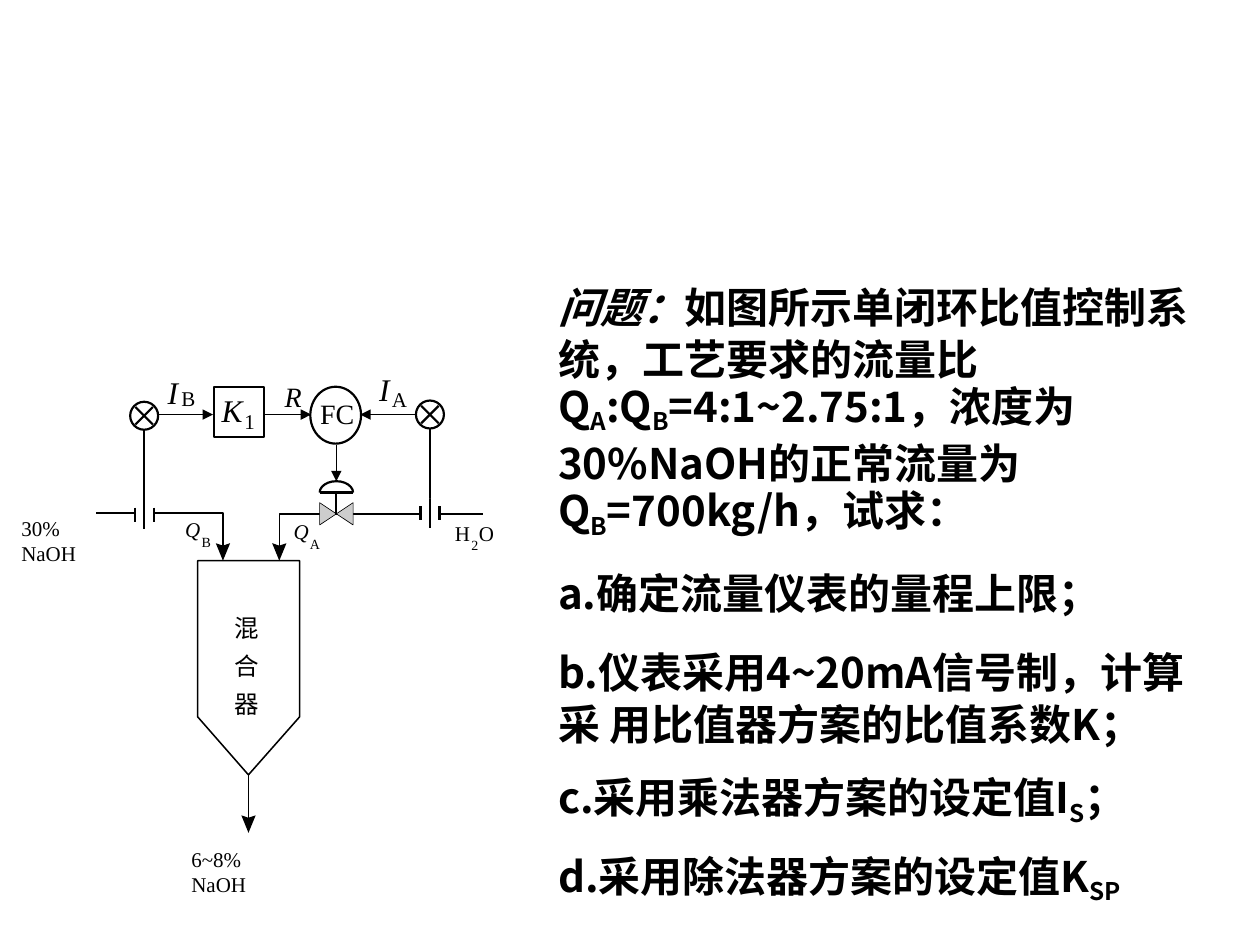
"""Build the slide on single closed-loop ratio control of a NaOH mixer."""
import math
from typing import NamedTuple, Optional

from lxml import etree
from pptx import Presentation
from pptx import util as u
from pptx.dml import color
from pptx.enum import shapes, text
from pptx.oxml import ns

COLOURS = {"ink": "000000", "paper": "FFFFFF", "valve": "CDCDCD"}
LATIN, CHINESE = "Times New Roman", "Noto Sans CJK SC"
LINE_RATIO = 1.24
THIN, PIPE, BOLD = 0.74, 0.88, 1.25
Point = tuple[float, float]


class Label(NamedTuple):
    words: str
    left: float
    top: float
    width: float
    size: float = 12
    italic: bool = False
    font: str = LATIN


class Line(NamedTuple):
    start: Point
    end: Point
    weight: float = BOLD
    arrow: bool = False


class Instrument(NamedTuple):
    x: float
    transmitter_y: float
    orifice_y: float


class Piece(NamedTuple):
    words: str
    italic: bool = False
    subscript: bool = False


presentation = Presentation()
presentation.slide_width, presentation.slide_height = u.Pt(720), u.Pt(540)
slide = presentation.slides.add_slide(presentation.slide_layouts[6])


def rgb(name: str) -> color.RGBColor:
    return color.RGBColor.from_string(COLOURS[name])


def set_values(target, values: dict) -> None:
    for name, value in values.items():
        setattr(target, name, value)


def paint(shape, fill: Optional[str], weight: float = 0) -> None:
    shape.shadow.inherit = False
    if fill:
        shape.fill.solid()
        shape.fill.fore_color.rgb = rgb(fill)
    else:
        shape.fill.background()
    if weight:
        shape.line.color.rgb = rgb("ink")
        shape.line.width = u.Pt(weight)
    else:
        shape.line.fill.background()


def draw_shape(kind, left: float, top: float, width: float, height: float, weight: float = BOLD) -> None:
    box = [u.Pt(value) for value in (left, top, width, height)]
    paint(slide.shapes.add_shape(kind, *box), "paper", weight)


def draw_outline(points: list[Point], fill: Optional[str], weight: float = 0, close: bool = False) -> None:
    corners = [(u.Pt(x), u.Pt(y)) for x, y in points]
    builder = slide.shapes.build_freeform(*corners[0])
    builder.add_line_segments(corners[1:], close=close)
    paint(builder.convert_to_shape(), fill, weight)


def draw_flow_head(x: float, y: float) -> None:
    draw_outline([(x, y), (x - 4.1, y - 10), (x, y - 8.6), (x + 4.1, y - 10)], "ink", close=True)


def draw_line(line: Line) -> None:
    ends = [u.Pt(value) for value in (*line.start, *line.end)]
    connector = slide.shapes.add_connector(shapes.MSO_CONNECTOR.STRAIGHT, *ends)
    connector.line.color.rgb = rgb("ink")
    connector.line.width = u.Pt(line.weight)
    if line.arrow:
        etree.SubElement(connector.line._get_or_add_ln(), ns.qn("a:tailEnd"), type="triangle")
    etree.SubElement(connector._element.spPr, ns.qn("a:effectLst"))


def draw_instrument(item: Instrument) -> None:
    x, y, plate = item.x, item.transmitter_y, item.orifice_y
    draw_line(Line((x, y + 8), (x, plate)))
    draw_shape(shapes.MSO_SHAPE.OVAL, x - 8, y - 8, 16, 16)
    for slope in (-1, 1):
        draw_line(Line((x - 5, y - 5 * slope), (x + 5, y + 5 * slope)))
    draw_shape(shapes.MSO_SHAPE.RECTANGLE, x - 5.4, plate - 8.3, 10.8, 16.6, 0)
    for offset, reach in ((-5.4, 4), (0, 8.3), (5.4, 4)):
        draw_line(Line((x + offset, plate - reach), (x + offset, plate + reach)))


def add_text_frame(left: float, top: float, width: float, height: float, wrap: bool, inset: Point):
    frame = slide.shapes.add_textbox(*[u.Pt(value) for value in (left, top, width, height)]).text_frame
    across, down = (u.Pt(value) for value in inset)
    set_values(frame, {
        "word_wrap": wrap, "auto_size": text.MSO_AUTO_SIZE.SHAPE_TO_FIT_TEXT,
        "margin_left": across, "margin_right": across, "margin_top": down, "margin_bottom": down,
    })
    return frame


def add_run(paragraph, words: str, font: str, values: dict):
    run = paragraph.add_run()
    run.text = words
    set_values(run.font, {"name": font, **values})
    run.font.color.rgb = rgb("ink")
    if font == CHINESE:
        etree.SubElement(run.font._element, ns.qn("a:ea"), typeface=font)
    return run


def draw_label(label: Label) -> None:
    frame = add_text_frame(label.left, label.top, label.width, label.size * 1.2, False, (0, 0))
    paragraph = frame.paragraphs[0]
    if label.font == CHINESE:
        paragraph.line_spacing = u.Pt(label.size * LINE_RATIO)
    add_run(paragraph, label.words, label.font, {"size": u.Pt(label.size), "italic": label.italic})


def draw_question(paragraphs: list[list[Piece]]) -> None:
    frame = add_text_frame(311.8, 156.2, 390.2, 366.5, True, (7.2, 3.6))
    for index, pieces in enumerate(paragraphs):
        paragraph = frame.add_paragraph() if index else frame.paragraphs[0]
        set_values(paragraph, {
            "space_before": u.Pt(15 if index else 0), "line_spacing": u.Pt(24 * LINE_RATIO),
        })
        for piece in pieces:
            run = add_run(paragraph, piece.words, CHINESE,
                          {"size": u.Pt(24), "bold": True, "italic": piece.italic})
            if piece.subscript:
                run.font._element.set("baseline", "-20000")


SUB_A, SUB_B = Piece("A", subscript=True), Piece("B", subscript=True)
QUESTION = [
    [Piece("问题：", italic=True), Piece("如图所示单闭环比值控制系统，工艺要求的流量比Q"), SUB_A,
     Piece(":Q"), SUB_B, Piece("=4:1~2.75:1，浓度为30%NaOH的正常流量为Q"), SUB_B,
     Piece("=700kg/h，试求：")],
    [Piece("a.确定流量仪表的量程上限；")],
    [Piece("b.仪表采用4~20mA信号制，计算采 用比值器方案的比值系数K；")],
    [Piece("c.采用乘法器方案的设定值I"), Piece("S", subscript=True), Piece("；")],
    [Piece("d.采用除法器方案的设定值K"), Piece("SP", subscript=True)],
]
SIGNALS = [
    Line((76.3, 236.9), (121.7, 236.9), THIN, True),
    Line((133.2, 236.9), (177.8, 236.9), THIN, True),
    Line((242.6, 236.9), (205.9, 236.9), THIN, True),
    Line((192.2, 254.2), (192.2, 275), THIN, True),
]
INSTRUMENTS = [Instrument(82.4, 237.6, 294.1), Instrument(245.7, 236.9, 293.4)]
LABELS = [
    Label("I", 95.8, 213.1, 6, 18, True), Label("B", 103.7, 220.3, 8),
    Label("I", 216.7, 211.7, 6, 18, True), Label("A", 223.9, 221, 8.7),
    Label("R", 162.7, 217, 9.8, 16, True),
    Label("K", 126.7, 223.2, 12, 18, True), Label("1", 139.7, 233.3, 6),
    Label("FC", 182.9, 226.8, 19.5, 16),
    Label("30% NaOH", 12.2, 294.5, 54), Label("6~8% NaOH", 109.4, 483.8, 60.5),
    Label("H", 259.9, 297.4, 8.7), Label("2", 269.3, 306.7, 4, 8), Label("O", 273.6, 297.4, 8.7),
    Label("Q", 167.8, 296.6, 8.7, 12, True), Label("A", 177.1, 306, 5.8, 8),
    Label("Q", 105.8, 295.2, 8.7, 12, True), Label("B", 115.2, 304.6, 5.4, 8),
] + [Label(word, 133.9, 349.9 + 21.6 * row, 14, 14, False, CHINESE) for row, word in enumerate("混合器")]

draw_question(QUESTION)
for signal in SIGNALS:
    draw_line(signal)
draw_outline([(142, 442.8), (113, 409.7), (113, 320.4), (171.2, 320.4), (171.2, 409.7)],
             "paper", PIPE, True)
draw_line(Line((142, 442.8), (142, 468.7), PIPE))
draw_outline([(54.9, 293.2), (127.4, 293.2), (127.4, 313)], None, PIPE)
draw_outline([(159.6, 313), (159.6, 293.6), (276.2, 293.6)], None, PIPE)
for tip in ((142, 475.9), (127.4, 320.4), (159.6, 320.4)):
    draw_flow_head(*tip)
draw_shape(shapes.MSO_SHAPE.RECTANGLE, 122.4, 221, 28.4, 28.8)
draw_shape(shapes.MSO_SHAPE.OVAL, 177.3, 221, 29, 32.5)
for instrument in INSTRUMENTS:
    draw_instrument(instrument)
draw_outline([(201.8, 300), (201.8, 287.3), (182.7, 300), (182.7, 287.3)], "valve", 0.37, True)
draw_line(Line((192.2, 293.6), (192.2, 281.5)))
draw_line(Line((182.7, 281.5), (201.8, 281.5)))
dome_angles = [math.pi * step / 12 for step in range(13)]
draw_outline([(192.25 - 9.55 * math.cos(a), 281.5 - 6.5 * math.sin(a)) for a in dome_angles], None, BOLD)
for label in LABELS:
    draw_label(label)

presentation.save("out.pptx")
